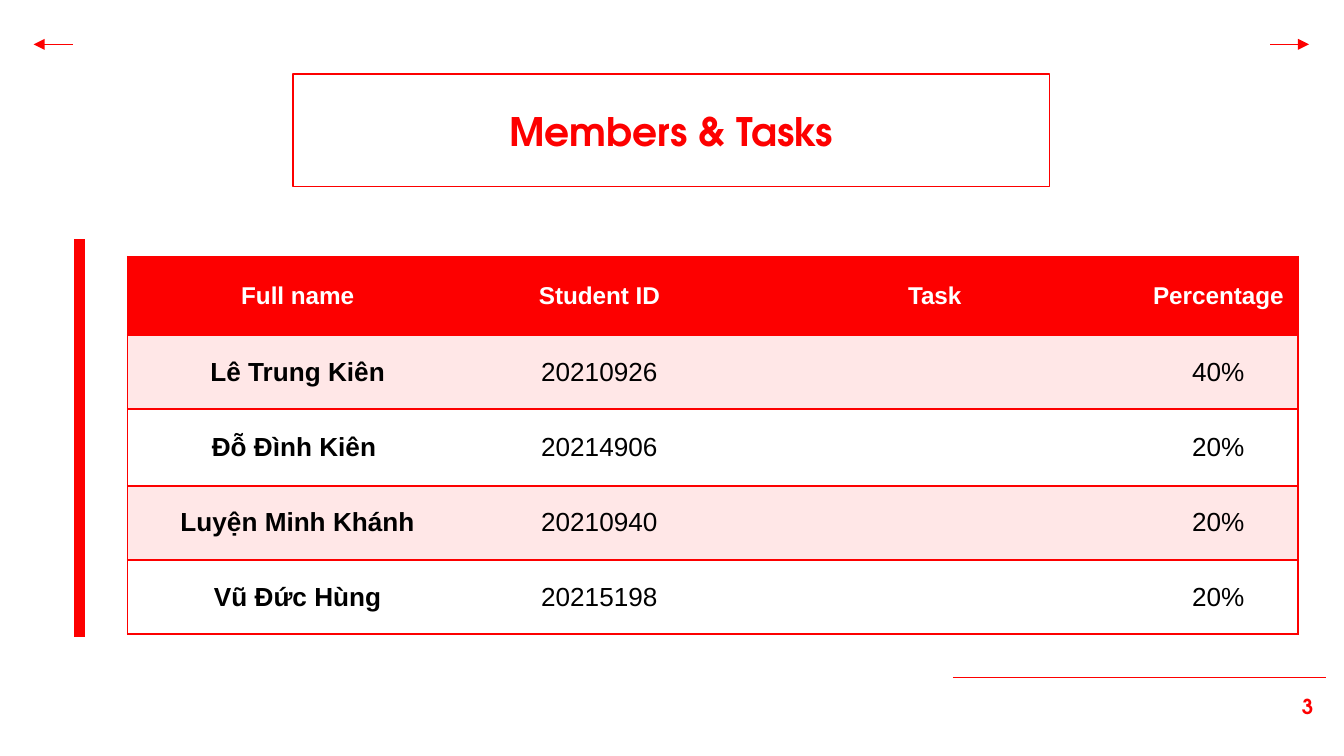
from dataclasses import dataclass

import pptx
import pptx.dml.color
import pptx.enum.shapes
import pptx.enum.text
import pptx.oxml.ns
import pptx.util
from lxml import etree
from pptx.util import Inches

RGBColor = pptx.dml.color.RGBColor
qn = pptx.oxml.ns.qn


@dataclass(frozen=True)
class Theme:
    """Colours, fonts and type sizes of the slide."""
    red: str = "FD0000"
    tint: str = "FFE7E7"
    white: str = "FFFFFF"
    black: str = "000000"
    display_font: str = "TeX Gyre Adventor"
    body_font: str = "Arial"
    title_size: float = 21
    header_size: float = 13
    body_size: float = 14
    number_size: float = 11
    thin: float = 0.75
    border: float = 1
    thick: float = 6


THEME = Theme()
HEADER = ("Full name", "Student ID", "Task", "Percentage")
MEMBERS = (
    ("Lê Trung Kiên", "20210926", "", "40%"),
    ("Đỗ Đình Kiên ", "20214906", "", "20%"),
    ("Luyện Minh Khánh", "20210940", "", "20%"),
    ("Vũ Đức Hùng", "20215198", "", "20%"),
)
COLUMN_WIDTHS = (2.53, 1.96, 3.03, 1.19)
ROW_HEIGHTS = (0.58, 0.55, 0.57, 0.55, 0.55)
NO_STYLE = "{2D5ABB26-0587-4C30-8999-92F81FD0307C}"


def write_text(text_frame, text, font_name, size, color, bold, alignment):
    """Write one formatted run in the first paragraph of a frame."""
    text_frame.word_wrap = True
    paragraph = text_frame.paragraphs[0]
    paragraph.alignment = alignment
    run = paragraph.add_run()
    run.text = text
    run.font.name = font_name
    run.font.size = pptx.util.Pt(size)
    run.font.bold = bold
    run.font.color.rgb = RGBColor.from_string(color)


def set_margins(target, horizontal, vertical):
    """Set the inner margins of a text frame or table cell."""
    target.margin_left = target.margin_right = Inches(horizontal)
    target.margin_top = target.margin_bottom = Inches(vertical)


def add_line(slide, start, end, width, arrow=False):
    """Draw a red line, with an arrowhead at its end if asked."""
    connector = slide.shapes.add_connector(
        pptx.enum.shapes.MSO_CONNECTOR.STRAIGHT,
        *(Inches(value) for value in (*start, *end)))
    connector.line.color.rgb = RGBColor.from_string(THEME.red)
    connector.line.width = pptx.util.Pt(width)
    if arrow:
        line = connector.line._get_or_add_ln()
        etree.SubElement(line, qn("a:tailEnd"), type="triangle")
    etree.SubElement(connector._element.spPr, qn("a:effectLst"))


def add_title(slide, left, top, width, height):
    """Place the title in its outlined box."""
    title = slide.shapes.title
    title.left, title.top = Inches(left), Inches(top)
    title.width, title.height = Inches(width), Inches(height)
    title.line.color.rgb = RGBColor.from_string(THEME.red)
    title.line.width = pptx.util.Pt(THEME.thin)
    frame = title.text_frame
    frame.auto_size = pptx.enum.text.MSO_AUTO_SIZE.NONE
    frame.vertical_anchor = pptx.enum.text.MSO_ANCHOR.MIDDLE
    set_margins(frame, 0.1, 0)
    write_text(frame, "Members & Tasks", THEME.display_font, THEME.title_size,
               THEME.red, True, pptx.enum.text.PP_ALIGN.CENTER)


def add_navigation(slide, left, top, width, arrow_length):
    """Draw outward arrows at both ends of the top strip."""
    right = left + width
    add_line(slide, (right - arrow_length, top), (right, top), THEME.thin, True)
    add_line(slide, (left + arrow_length, top), (left, top), THEME.thin, True)


def add_footer(slide, left, top, width, height):
    """Draw the footer rule with the page number under its right end."""
    add_line(slide, (left, top), (left + width, top), THEME.thin)
    number_width = 0.64
    number = slide.shapes.add_textbox(
        Inches(left + width - number_width), Inches(top),
        Inches(number_width), Inches(height))
    number.text_frame.vertical_anchor = pptx.enum.text.MSO_ANCHOR.MIDDLE
    set_margins(number.text_frame, 0.1, 0.1)
    write_text(number.text_frame, "3", THEME.display_font, THEME.number_size,
               THEME.red, True, pptx.enum.text.PP_ALIGN.RIGHT)


def add_borders(cell, sides):
    """Give a cell red borders on the named sides."""
    properties = cell._tc.get_or_add_tcPr()
    for side in sides:
        line = etree.SubElement(properties, qn(f"a:ln{side}"),
                                w=str(pptx.util.Pt(THEME.border)))
        fill = etree.SubElement(line, qn("a:solidFill"))
        etree.SubElement(fill, qn("a:srgbClr"), val=THEME.red)


def format_cell(cell, text, row, column):
    """Fill, border and write one cell according to its place."""
    is_header = row == 0
    sides = {0: "LTB", len(HEADER) - 1: "RTB"}.get(column, "TB")
    add_borders(cell, sides)
    band = THEME.tint if row % 2 else THEME.white
    cell.fill.solid()
    cell.fill.fore_color.rgb = RGBColor.from_string(
        THEME.red if is_header else band)
    cell.vertical_anchor = pptx.enum.text.MSO_ANCHOR.MIDDLE
    set_margins(cell, 0.07, 0)
    if text:
        write_text(cell.text_frame, text, THEME.body_font,
                   THEME.header_size if is_header else THEME.body_size,
                   THEME.white if is_header else THEME.black,
                   is_header or column == 0, pptx.enum.text.PP_ALIGN.CENTER)


def add_members_table(slide, left, top, width, height):
    """Build the table of members and their shares."""
    rows = (HEADER, *MEMBERS)
    table = slide.shapes.add_table(
        len(rows), len(HEADER), Inches(left), Inches(top),
        Inches(width), Inches(height)).table
    table.horz_banding = False
    table._tbl.tblPr.find(qn("a:tableStyleId")).text = NO_STYLE
    for column, share in zip(table.columns, COLUMN_WIDTHS):
        column.width = Inches(width * share / sum(COLUMN_WIDTHS))
    for row, share in zip(table.rows, ROW_HEIGHTS):
        row.height = Inches(height * share / sum(ROW_HEIGHTS))
    for row, values in enumerate(rows):
        for column, text in enumerate(values):
            format_cell(table.cell(row, column), text, row, column)


def build_slide(presentation):
    """Lay out the members and tasks slide."""
    slide = presentation.slides.add_slide(presentation.slide_layouts[5])
    slide.background.fill.solid()
    slide.background.fill.fore_color.rgb = RGBColor.from_string(THEME.white)
    add_line(slide, (0.59, 1.78), (0.59, 4.74), THEME.thick)
    add_footer(slide, 7.09, 5.04, 2.78, 0.43)
    add_members_table(slide, 0.95, 1.91, 8.71, 2.81)
    add_title(slide, 2.18, 0.55, 5.63, 0.84)
    add_navigation(slide, 0.25, 0.33, 9.49, 0.29)


def main():
    """Create and save a 16:9 presentation."""
    presentation = pptx.Presentation()
    presentation.slide_width = Inches(10)
    presentation.slide_height = Inches(10 * 9 / 16)
    build_slide(presentation)
    presentation.save("out.pptx")


if __name__ == "__main__":
    main()
